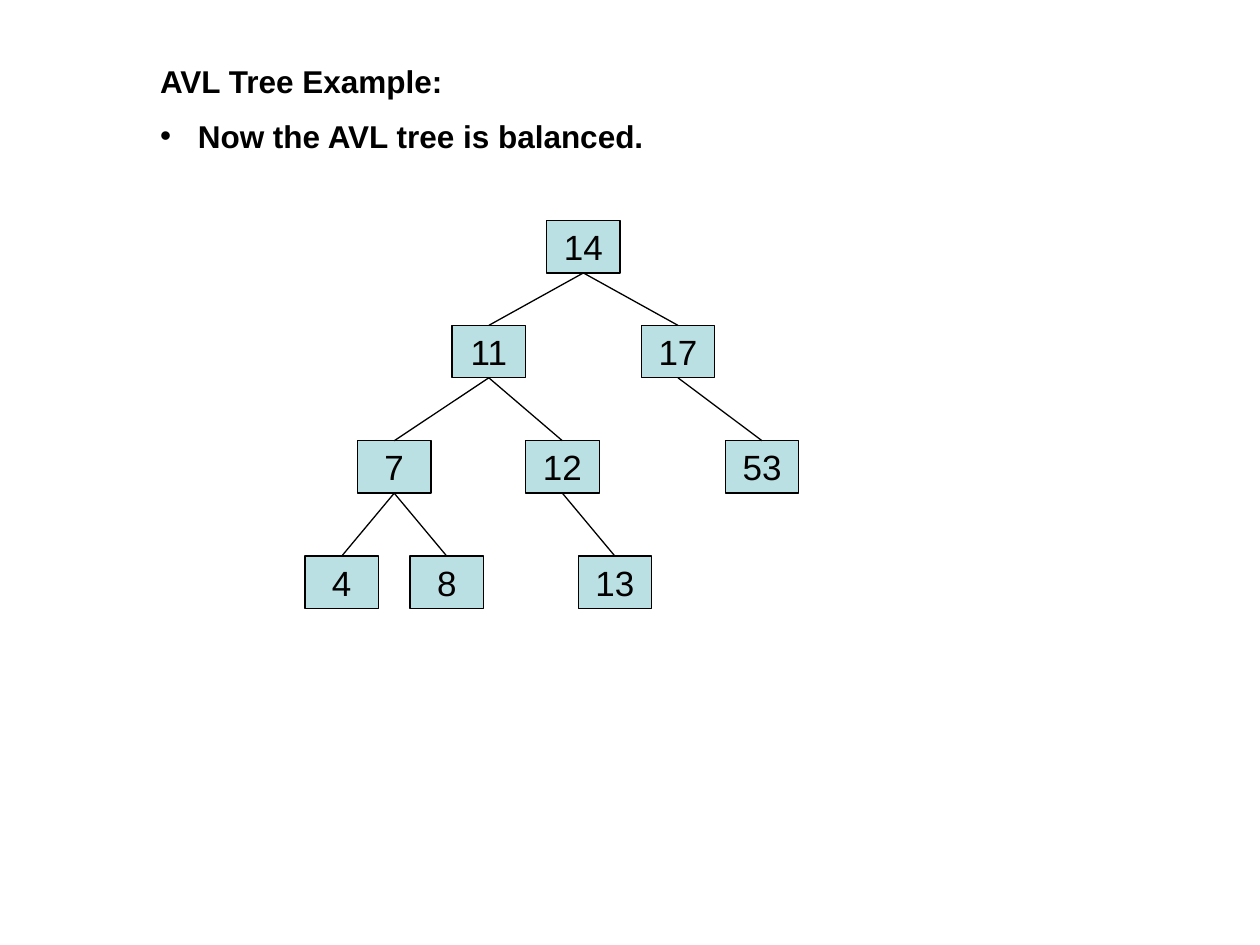
from dataclasses import dataclass

import pptx
import pptx.dml.color
import pptx.enum.shapes
import pptx.enum.text
import pptx.oxml.ns
import pptx.util
from lxml import etree


@dataclass(frozen=True)
class Theme:
    font: str = "Arial"
    ink: str = "000000"
    node_fill: str = "BBE0E3"
    heading_size: float = 18
    node_size: float = 20
    line_width: float = 0.75


@dataclass(frozen=True)
class Box:
    """A rectangle in inches."""
    left: float
    top: float
    width: float
    height: float

    def share(self, left, top, width, height):
        """Return the box covering the given shares of this one."""
        return Box(self.left + left * self.width, self.top + top * self.height,
                   width * self.width, height * self.height)

    def lengths(self):
        return [pptx.util.Inches(side)
                for side in (self.left, self.top, self.width, self.height)]


THEME = Theme()
SLIDE = Box(0, 0, 10, 7.5)
HEADING = Box(1.17, 0.42, 7.83, 0.88)
TREE = Box(2.42, 1.75, 3.92, 3.08)

# The tree's grid, its node size in cells, and the top row of each level.
COLUMNS, ROWS = 47, 37
NODE_COLUMNS, NODE_ROWS = 7, 5
LEVEL_ROWS = (0, 10, 21, 32)

# Key: (level, left column, parent key)
NODES = {
    14: (0, 23, None),
    11: (1, 14, 14),
    17: (1, 32, 14),
    7: (2, 5, 11),
    12: (2, 21, 11),
    53: (2, 40, 17),
    4: (3, 0, 7),
    8: (3, 10, 7),
    13: (3, 26, 12),
}


def color(value):
    return pptx.dml.color.RGBColor.from_string(value)


def write_text(shape, text, size, bold, alignment):
    frame = shape.text_frame
    frame.text = text
    frame.auto_size = pptx.enum.text.MSO_AUTO_SIZE.NONE
    frame.vertical_anchor = pptx.enum.text.MSO_ANCHOR.MIDDLE
    para = frame.paragraphs[0]
    para.alignment = alignment
    para.space_before = pptx.util.Pt(0)
    for span in para.runs:
        span.font.name = THEME.font
        span.font.size = pptx.util.Pt(size)
        span.font.bold = bold
        span.font.color.rgb = color(THEME.ink)
    return para


def draw_line(line):
    line.color.rgb = color(THEME.ink)
    line.width = pptx.util.Pt(THEME.line_width)


def add_heading(page, box):
    """Fill the title and the one-item list, each in half of the box."""
    title, body = page.shapes.title, page.placeholders[1]
    texts = ("AVL Tree Example:", "Now the AVL tree is balanced.")
    for row, (holder, text) in enumerate(zip((title, body), texts)):
        holder.left, holder.top, holder.width, holder.height = (
            box.share(0, row / 2, 1, 1 / 2).lengths())
        para = write_text(holder, text, THEME.heading_size, True,
                          pptx.enum.text.PP_ALIGN.LEFT)
    indent = pptx.util.Inches(0.3)
    properties = para._p.get_or_add_pPr()
    properties.set("marL", str(indent))
    properties.set("indent", str(-indent))


def add_node(page, key, box):
    node = page.shapes.add_shape(
        pptx.enum.shapes.MSO_SHAPE.RECTANGLE, *box.lengths())
    node.shadow.inherit = False
    node.fill.solid()
    node.fill.fore_color.rgb = color(THEME.node_fill)
    draw_line(node.line)
    write_text(node, str(key), THEME.node_size, False,
               pptx.enum.text.PP_ALIGN.CENTER)
    node.text_frame.word_wrap = False
    return node


def add_edge(page, parent, child):
    """Join the bottom of the parent to the top of the child."""
    edge = page.shapes.add_connector(
        pptx.enum.shapes.MSO_CONNECTOR.STRAIGHT, 0, 0, 0, 0)
    edge.begin_connect(parent, 2)
    edge.end_connect(child, 0)
    draw_line(edge.line)
    etree.SubElement(edge._element.spPr, pptx.oxml.ns.qn("a:effectLst"))


def add_tree(page, box):
    shapes = {}
    for key, (level, column, parent) in NODES.items():
        place = box.share(column / COLUMNS, LEVEL_ROWS[level] / ROWS,
                          NODE_COLUMNS / COLUMNS, NODE_ROWS / ROWS)
        shapes[key] = add_node(page, key, place)
        if parent is not None:
            add_edge(page, shapes[parent], shapes[key])


def main():
    deck = pptx.Presentation()
    deck.slide_width = pptx.util.Inches(SLIDE.width)
    deck.slide_height = pptx.util.Inches(SLIDE.height)
    page = deck.slides.add_slide(deck.slide_layouts[1])
    add_heading(page, HEADING)
    add_tree(page, TREE)
    deck.save("out.pptx")


if __name__ == "__main__":
    main()
